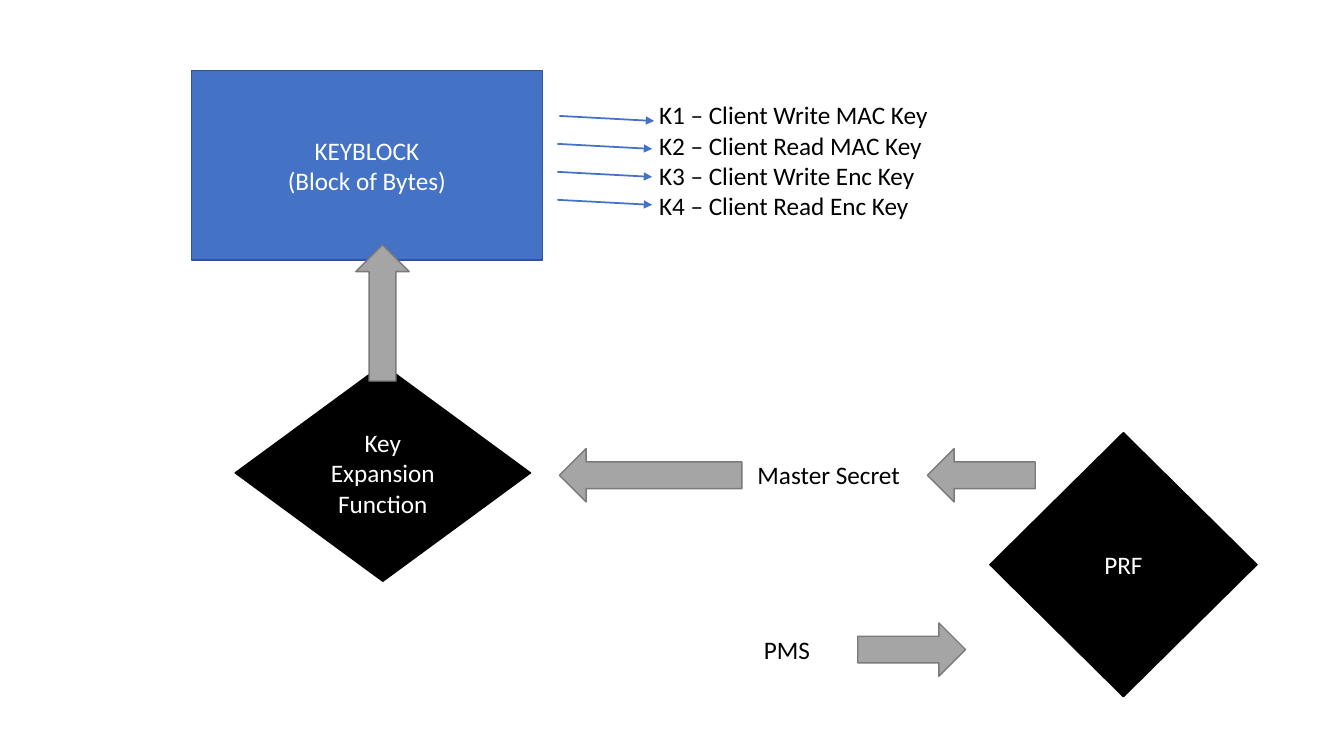
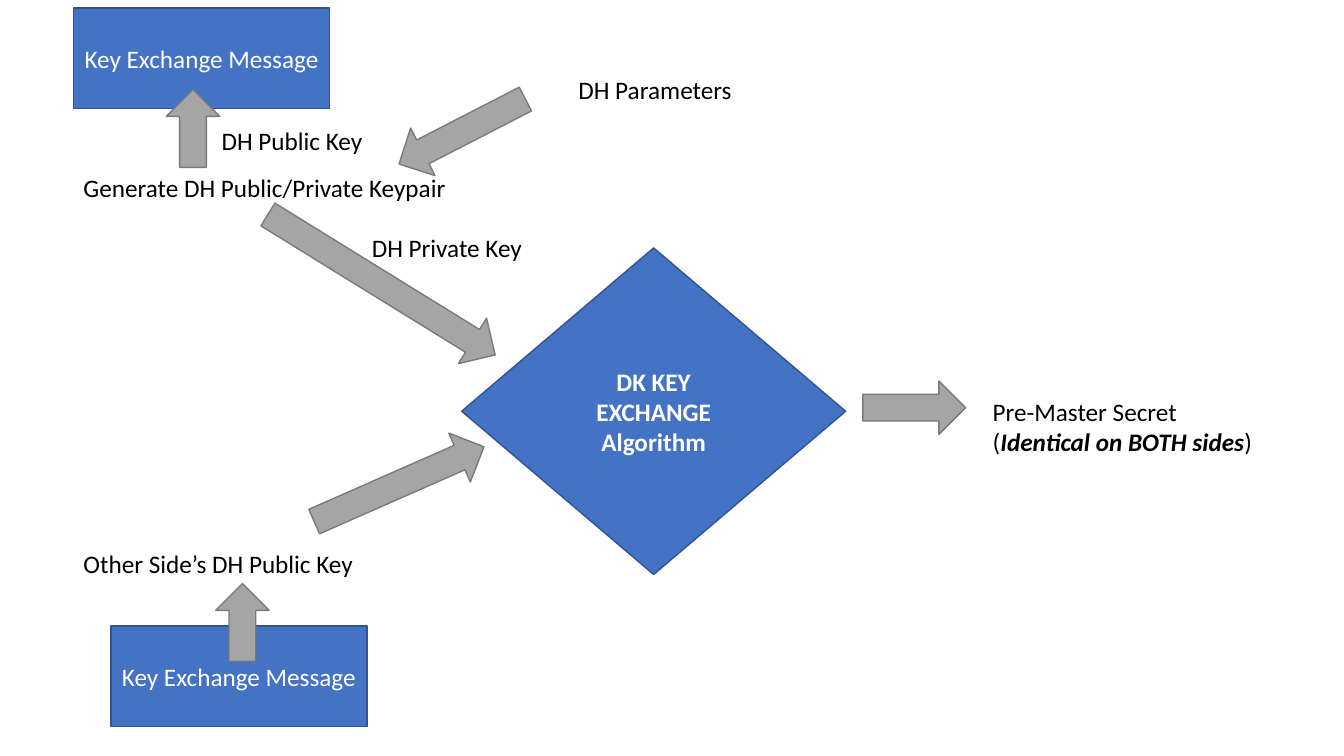
from dataclasses import dataclass
from math import atan2, degrees, hypot

from lxml.etree import SubElement
from pptx import Presentation
from pptx.dml.color import RGBColor
from pptx.enum.shapes import MSO_CONNECTOR, MSO_SHAPE
from pptx.enum.text import MSO_ANCHOR, MSO_AUTO_SIZE, PP_ALIGN
from pptx.oxml.ns import qn
from pptx.util import Inches, Pt

COLUMNS, ROWS = 160, 90
CELL = Inches(7.5) / ROWS


@dataclass(frozen=True)
class Theme:
    font: str = "Calibri"
    text_size: int = 18
    outline: float = 1
    connector: float = 1.25
    arrow_rows: float = 6.36
    label_rows: float = 4.8
    dark_text: str = "000000"
    light_text: str = "FFFFFF"
    blue: tuple = ("4472C4", "325491")
    black: tuple = ("000000", "000000")
    gray: tuple = ("A5A5A5", "7A7A7A")


THEME = Theme()


@dataclass(frozen=True)
class Box:
    left: float
    top: float
    width: float
    height: float

    def inner(self, left, top, width, height):
        return Box(self.left + left, self.top + top, width, height)

    def point(self, column, row):
        return self.left + column, self.top + row

    def lengths(self):
        return cells(self.left, self.top, self.width, self.height)


def cells(*counts):
    return [round(count * CELL) for count in counts]


def apply_format(target, values):
    for name, value in values.items():
        setattr(target, name, value)


def write(frame, paragraphs, color, alignment, **style):
    for index, runs in enumerate(paragraphs):
        paragraph = frame.paragraphs[0] if index == 0 else frame.add_paragraph()
        paragraph.alignment = alignment
        for text, extra in [(runs, {})] if isinstance(runs, str) else runs:
            run = paragraph.add_run()
            run.text = text
            base = {"name": THEME.font, "size": Pt(THEME.text_size)}
            apply_format(run.font, base | style | extra)
            run.font.color.rgb = RGBColor.from_string(color)


def add_block(slide, kind, box, colors, paragraphs=(), **style):
    fill, outline = colors
    shape = slide.shapes.add_shape(kind, *box.lengths())
    shape.shadow.inherit = False
    shape.fill.solid()
    shape.fill.fore_color.rgb = RGBColor.from_string(fill)
    shape.line.color.rgb = RGBColor.from_string(outline)
    shape.line.width = Pt(THEME.outline)
    shape.text_frame.vertical_anchor = MSO_ANCHOR.MIDDLE
    write(shape.text_frame, paragraphs, THEME.light_text, PP_ALIGN.CENTER, **style)
    return shape


def add_label(slide, box, *paragraphs, wrap=False):
    frame = slide.shapes.add_textbox(*box.lengths()).text_frame
    apply_format(frame, {"word_wrap": wrap,
                         "auto_size": MSO_AUTO_SIZE.SHAPE_TO_FIT_TEXT})
    write(frame, paragraphs, THEME.dark_text, PP_ALIGN.LEFT)


def add_block_arrow(slide, tail, tip):
    across, down = tip[0] - tail[0], tip[1] - tail[1]
    length = hypot(across, down)
    box = Box((tail[0] + tip[0] - length) / 2,
              (tail[1] + tip[1] - THEME.arrow_rows) / 2,
              length, THEME.arrow_rows)
    shape = add_block(slide, MSO_SHAPE.RIGHT_ARROW, box, THEME.gray)
    shape.rotation = degrees(atan2(down, across))


def add_thin_arrow(slide, tail, tip):
    connector = slide.shapes.add_connector(
        MSO_CONNECTOR.STRAIGHT, *cells(*tail, *tip))
    connector.line.color.rgb = RGBColor.from_string(THEME.blue[0])
    connector.line.width = Pt(THEME.connector)
    SubElement(connector.line._get_or_add_ln(), qn("a:tailEnd"), type="triangle")
    SubElement(connector._element.spPr, qn("a:effectLst"))


def place_keyblock(slide, box):
    add_block(slide, MSO_SHAPE.RECTANGLE, box.inner(0, 0, 41.76, box.height),
              THEME.blue, ["KEYBLOCK", "(Block of Bytes)"])
    add_label(slide, box.inner(54.48, 2.88, 42.96, 15.72),
              "K1 – Client Write MAC Key", "K2 – Client Read MAC Key",
              "K3 – Client Write Enc Key", "K4 – Client Read Enc Key", wrap=True)
    for index, start in enumerate((43.8, 43.56, 43.56, 43.56)):
        row = 5.4 + index * 3.33
        add_thin_arrow(slide, box.point(start, row),
                       box.point(start + 11.28, row + 0.6))


def place_key_expansion(slide, box):
    add_block(slide, MSO_SHAPE.DIAMOND, box.inner(0, 0, 35.16, box.height),
              THEME.black, ["Key Expansion Function"])
    add_block_arrow(slide, box.point(60.32, 13.18), box.point(38.6, 13.18))
    add_block_arrow(slide, box.point(17.54, 1.96), box.point(17.54, -14.24))


def place_secret_derivation(slide, box):
    add_block(slide, MSO_SHAPE.DIAMOND, box.inner(28.84, 0, 31.8, box.height),
              THEME.black, ["PRF"])
    add_label(slide, box.inner(0, 2.62, 19.56, THEME.label_rows), "Master Secret")
    add_block_arrow(slide, box.point(34.24, 5.08), box.point(21.4, 5.08))
    add_label(slide, box.inner(0.76, 23.38, 7.92, THEME.label_rows), "PMS")
    add_block_arrow(slide, box.point(13.12, 25.84), box.point(25.96, 25.84))


def place_message(slide, box, left, top):
    add_block(slide, MSO_SHAPE.RECTANGLE, box.inner(left, top, 30.48, 12),
              THEME.blue, ["Key Exchange Message"])


def place_own_keypair(slide, box):
    place_message(slide, box, 0, 0)
    for tail, tip in (((53.78, 10.83), (38.74, 18.57)),
                      ((23.13, 24.58), (50.19, 41.3)),
                      ((14.22, 18.96), (14.22, 9.72))):
        add_block_arrow(slide, box.point(*tail), box.point(*tip))
    for left, top, width, text in (
            (0, 18.96, 46.08, "Generate DH Public/Private Keypair"),
            (58.92, 7.32, 21.6, "DH Parameters"),
            (34.32, 26.16, 20.52, "DH Private Key"),
            (16.44, 13.32, 19.44, "DH Public Key")):
        add_label(slide, box.inner(left, top, width, THEME.label_rows), text)


def place_other_side(slide, box):
    place_message(slide, box, 4.44, 21.32)
    add_label(slide, box.inner(0, 11.48, 34.92, THEME.label_rows),
              "Other Side’s DH Public Key")
    add_block_arrow(slide, box.point(20.1, 25.52), box.point(20.1, 16.28))
    add_block_arrow(slide, box.point(28.65, 8.9), box.point(48.87, 0))


def place_exchange(slide, box):
    add_block(slide, MSO_SHAPE.DIAMOND, box.inner(0, 0, 45.72, box.height),
              THEME.blue, ["DK KEY EXCHANGE", "Algorithm"], bold=True)
    add_block_arrow(slide, box.point(47.76, 19.02), box.point(60, 19.02))
    add_label(slide, box.inner(62.04, 17.04, 33.72, 8.52), "Pre-Master Secret",
              [("(", {}),
               ("Identical on BOTH sides", {"bold": True, "italic": True}),
               (")", {})])


SLIDES = (
    ((place_keyblock, Box(22.8, 8.4, 97.44, 22.56)),
     (place_key_expansion, Box(28, 43.4, 60.32, 25.8)),
     (place_secret_derivation, Box(89, 51.5, 60.64, 31.44))),
    ((place_exchange, Box(54.96, 29.52, 95.76, 38.88)),
     (place_own_keypair, Box(8.76, 0.96, 80.52, 41.3)),
     (place_other_side, Box(8.76, 53.2, 48.87, 33.32))),
)


def main():
    presentation = Presentation()
    width, height = cells(COLUMNS, ROWS)
    apply_format(presentation, {"slide_width": width, "slide_height": height})
    for regions in SLIDES:
        slide = presentation.slides.add_slide(presentation.slide_layouts[6])
        for place_region, box in regions:
            place_region(slide, box)
    presentation.save("out.pptx")


if __name__ == "__main__":
    main()
